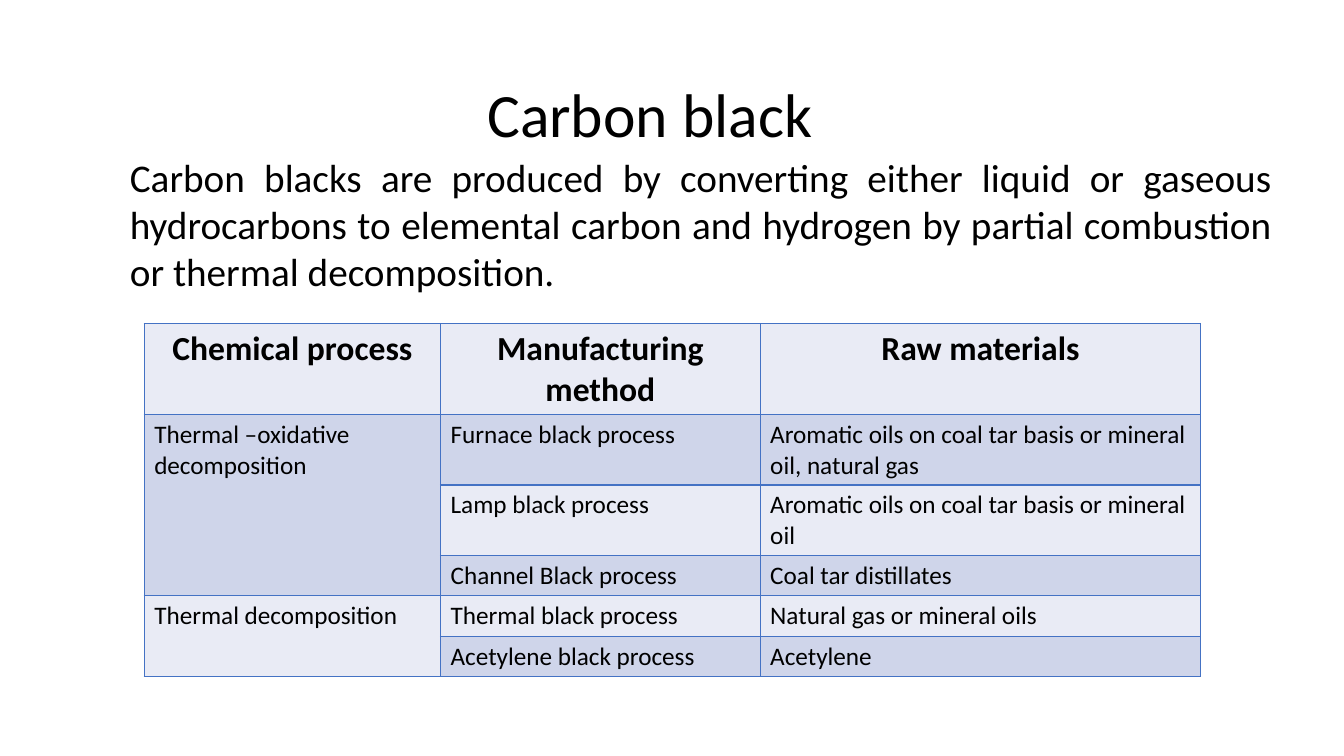
"""Build the carbon black slide: title, definition and table of processes."""
from lxml import etree
from pptx import Presentation
from pptx.dml.color import RGBColor
from pptx.enum.text import MSO_ANCHOR as ANCHOR, PP_ALIGN as ALIGN
from pptx.oxml.ns import qn
from pptx.util import Inches, Pt

BLACK = RGBColor(0x00, 0x00, 0x00)
BAND_LIGHT = RGBColor(0xE9, 0xEB, 0xF5)
BAND_DARK = RGBColor(0xCF, 0xD5, 0xEA)
BORDER = RGBColor(0x44, 0x72, 0xC4)


def write(tf, text, size=18, bold=False, align=ALIGN.LEFT, spacing=None, anchor=ANCHOR.TOP):
    tf.word_wrap = True
    tf.vertical_anchor = anchor
    p = tf.paragraphs[0]
    p.alignment = align
    p.line_spacing = spacing
    r = p.add_run()
    r.text = text
    r.font.name = "Calibri"
    r.font.size = Pt(size)
    r.font.bold = bold
    r.font.color.rgb = BLACK


def add_borders(cell):
    tc_pr = cell._tc.get_or_add_tcPr()
    for i, side in enumerate(("lnL", "lnR", "lnT", "lnB")):
        ln = etree.Element(qn(f"a:{side}"), w=str(Pt(1)))
        fill = etree.SubElement(ln, qn("a:solidFill"))
        etree.SubElement(fill, qn("a:srgbClr"), val=str(BORDER))
        tc_pr.insert(i, ln)


prs = Presentation()
prs.slide_width = Inches(13.33)
prs.slide_height = Inches(7.5)
s = prs.slides.add_slide(prs.slide_layouts[6])

title = s.shapes.add_textbox(Inches(0.43), Inches(0.26), Inches(12.17), Inches(1.29))
write(title.text_frame, "Carbon black ", size=44, align=ALIGN.CENTER, spacing=0.9, anchor=ANCHOR.BOTTOM)

COLUMN_WIDTHS = [2.94, 3.17, 4.37]
ROW_HEIGHTS = [0.9, 0.7, 0.7, 0.4, 0.4, 0.4]
ROWS = [
    ("Chemical process", "Manufacturing method", "Raw materials"),
    ("Thermal –oxidative decomposition", "Furnace black process",
     "Aromatic oils on coal tar basis or mineral oil, natural gas"),
    ("", "Lamp black process", "Aromatic oils on coal tar basis or mineral oil"),
    ("", "Channel Black process", "Coal tar distillates"),
    ("Thermal decomposition", "Thermal black process", "Natural gas or mineral oils"),
    ("", "Acetylene black process", "Acetylene"),
]

frame = s.shapes.add_table(len(ROWS), len(COLUMN_WIDTHS), Inches(1.43), Inches(3.21),
                           Inches(sum(COLUMN_WIDTHS)), Inches(sum(ROW_HEIGHTS)))
table = frame.table
for column, width in zip(table.columns, COLUMN_WIDTHS):
    column.width = Inches(width)
for row, height in zip(table.rows, ROW_HEIGHTS):
    row.height = Inches(height)

for first, last in ((1, 3), (4, 5)):
    table.cell(first, 0).merge(table.cell(last, 0))

for i, texts in enumerate(ROWS):
    for j, text in enumerate(texts):
        cell = table.cell(i, j)
        cell.fill.solid()
        cell.fill.fore_color.rgb = BAND_DARK if i % 2 else BAND_LIGHT
        add_borders(cell)
        if i == 0:
            write(cell.text_frame, text, size=24, bold=True, align=ALIGN.CENTER)
        elif text:
            write(cell.text_frame, text, align=ALIGN.JUSTIFY if (i, j) == (4, 0) else ALIGN.LEFT)

definition = s.shapes.add_textbox(Inches(1.19), Inches(1.47), Inches(11.52), Inches(1.51))
write(definition.text_frame,
      "Carbon blacks are produced by converting either liquid or gaseous hydrocarbons to "
      "elemental carbon and hydrogen by partial combustion or thermal decomposition.",
      size=28, align=ALIGN.JUSTIFY)

prs.save("out.pptx")
